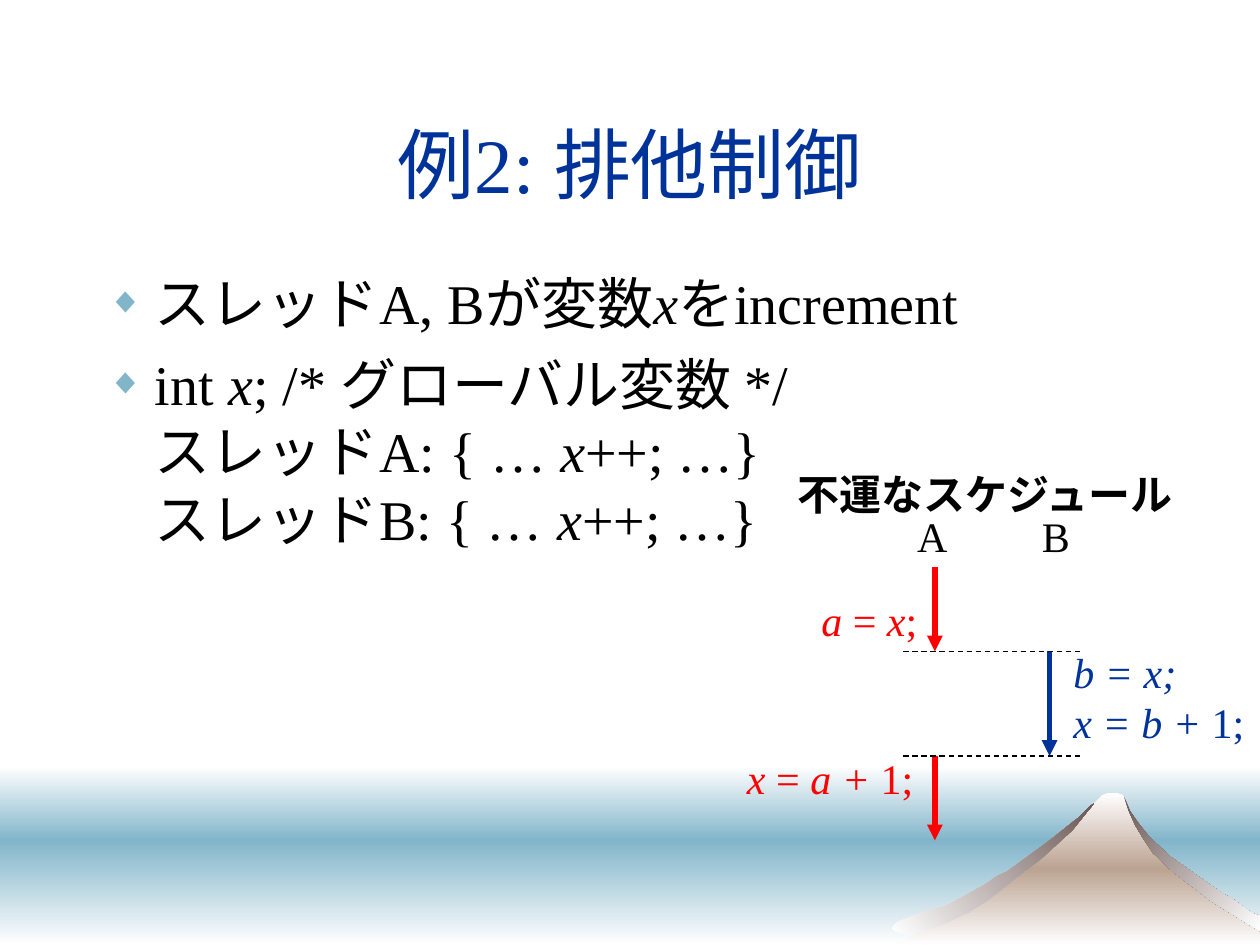
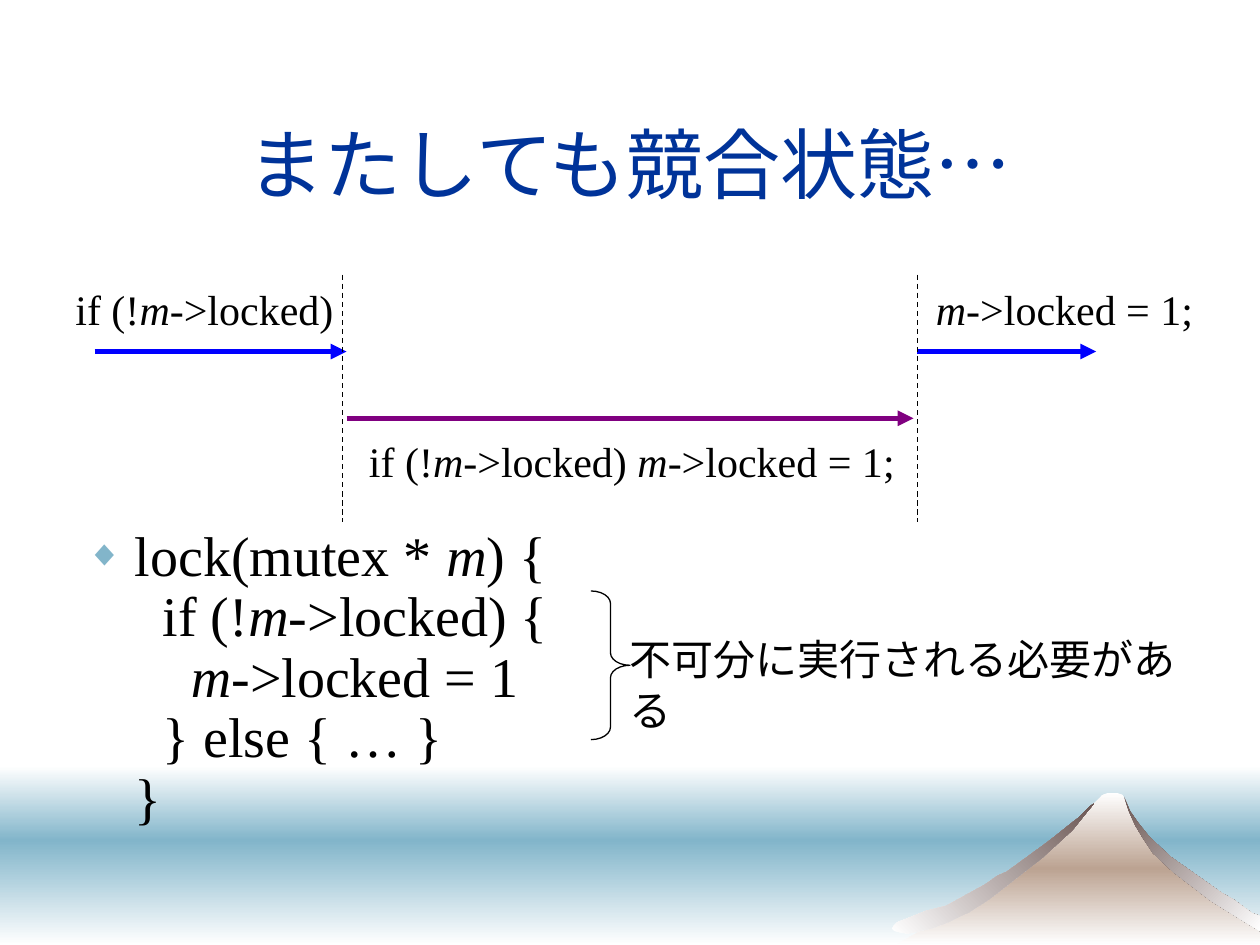
"""Build two slides on mutual exclusion and race conditions."""
from dataclasses import dataclass

import lxml.etree
import pptx
import pptx.dml.color
import pptx.enum.dml
import pptx.enum.lang
import pptx.enum.shapes
import pptx.enum.text
import pptx.oxml.ns
import pptx.util

Inches = pptx.util.Inches
Pt = pptx.util.Pt
qn = pptx.oxml.ns.qn

SERIF, SANS = "Times New Roman", "Arial"
WHITE, BLACK, NAVY, RED = "FFFFFF", "000000", "003399", "FF0000"
BLUE, PURPLE = "0000FF", "800080"
SEA, EARTH, ROCK = "82B5CA", "BCA392", "6B5653"
TITLE_BOX = (0.75, 0.67, 8.5, 1.25)

MOUNTAIN = [(7.11, 7.5), (7.9, 7.05), (8.4, 6.66), (8.69, 6.37), (8.75, 6.31), (8.8, 6.29),
            (8.86, 6.29), (8.91, 6.31), (9.03, 6.57), (9.22, 6.8), (9.68, 7.12), (10, 7.33),
            (10, 7.5)]
RIGHT_RIDGE = [(9.15, 6.77), (9.31, 6.92), (9.48, 7.05), (9.61, 7.15), (9.9, 7.33), (10, 7.39),
               (10, 7.27), (9.94, 7.25), (9.79, 7.14), (9.7, 7.09), (9.29, 6.8), (9.12, 6.64),
               (9.04, 6.54), (8.97, 6.44), (8.92, 6.32), (8.96, 6.44), (9.01, 6.55), (9.07, 6.65)]
LEFT_RIDGE = [(8.32, 6.68), (7.99, 6.92), (7.92, 6.95), (7.82, 7.02), (7.51, 7.19), (7.35, 7.23),
              (7.2, 7.29), (7.12, 7.32), (7.09, 7.35), (7.08, 7.37), (7.1, 7.39), (7.14, 7.4),
              (7.2, 7.41), (7.3, 7.39), (7.39, 7.37), (7.5, 7.33), (7.69, 7.24), (7.8, 7.17),
              (7.86, 7.13), (8.27, 6.81), (8.51, 6.59), (8.64, 6.43), (8.68, 6.38), (8.65, 6.4),
              (8.56, 6.49)]


@dataclass
class Label:
    """A free text; underscores switch italics on and off."""
    text: str
    box: tuple[float, float, float, float]
    color: str = BLACK
    font: str = SERIF
    bold: bool = False
    wrap: bool = False


@dataclass
class Line:
    """A straight line: a thick arrow, or a thin dashed guide."""
    start: tuple[float, float]
    end: tuple[float, float]
    color: str = BLACK
    arrow: bool = True


def guide(start: tuple[float, float], end: tuple[float, float]) -> Line:
    """Return a dashed guide line."""
    return Line(start, end, arrow=False)


def rgb(color: str) -> pptx.dml.color.RGBColor:
    """Turn a hex string into a colour."""
    return pptx.dml.color.RGBColor.from_string(color)


def place(sp, box: tuple[float, float, float, float]) -> None:
    """Move and size a shape."""
    sp.left, sp.top, sp.width, sp.height = map(Inches, box)


def add_runs(p, text: str, size: float, color: str, font: str = SERIF, bold: bool = False) -> None:
    """Add text run by run, with italics between underscores."""
    for i, part in enumerate(text.split("_")):
        for j, piece in enumerate(part.split("\n")):
            if j:
                p.add_line_break()
            if piece:
                r = p.add_run()
                r.text = piece
                r.font.name = font
                r.font.size = Pt(size)
                r.font.bold = bold
                r.font.italic = i % 2 == 1
                r.font.color.rgb = rgb(color)
                r.font.language_id = pptx.enum.lang.MSO_LANGUAGE_ID.JAPANESE


def set_gradient(sp, colors: list[str], angle: int) -> None:
    """Fill a shape with evenly spaced stops at a clockwise angle, without outline."""
    sp.shadow.inherit = False
    sp.line.fill.background()
    sp.fill.gradient()
    sp.fill.gradient_angle = -angle % 360
    stops = sp.element.spPr.find(".//" + qn("a:gsLst"))
    stops.clear()
    for i, color in enumerate(colors):
        gs = lxml.etree.SubElement(stops, qn("a:gs"), pos=str(100000 * i // (len(colors) - 1)))
        lxml.etree.SubElement(gs, qn("a:srgbClr"), val=color)


def add_backdrop(layout, s) -> None:
    """Draw the sea and the mountain, and put them at the back of the layout."""
    group = s.shapes.add_group_shape()
    for top, height, colors in ((6.08, 0.59, [WHITE, SEA]), (6.67, 0.83, [SEA, WHITE])):
        sp = group.shapes.add_shape(pptx.enum.shapes.MSO_SHAPE.RECTANGLE,
                                    *map(Inches, (0, top, 10, height)))
        set_gradient(sp, colors, 90)
    for points, colors, angle in ((MOUNTAIN, [WHITE, EARTH, WHITE], 90),
                                  (RIGHT_RIDGE, [ROCK, WHITE], 45),
                                  (LEFT_RIDGE, [WHITE, ROCK], 315)):
        first, *rest = [(Inches(x), Inches(y)) for x, y in points]
        builder = group.shapes.build_freeform(*first)
        builder.add_line_segments(rest, close=True)
        set_gradient(builder.convert_to_shape(), colors, angle)
    layout.shapes.element.insert(2, group.element)


def set_title(s, text: str) -> None:
    """Fill the title placeholder."""
    sp = s.shapes.title
    place(sp, TITLE_BOX)
    tf = sp.text_frame
    tf.auto_size = pptx.enum.text.MSO_AUTO_SIZE.NONE
    tf.vertical_anchor = pptx.enum.text.MSO_ANCHOR.MIDDLE
    p = tf.paragraphs[0]
    p.alignment = pptx.enum.text.PP_ALIGN.CENTER
    add_runs(p, text, 44, NAVY)


def set_body(s, items: list[str], box: tuple[float, float, float, float],
             spacing: float = 1.0) -> None:
    """Fill the body placeholder with a diamond list."""
    sp = s.placeholders[1]
    place(sp, box)
    tf = sp.text_frame
    tf.auto_size = pptx.enum.text.MSO_AUTO_SIZE.NONE
    for i, item in enumerate(items):
        p = tf.add_paragraph() if i else tf.paragraphs[0]
        pPr = p._p.get_or_add_pPr()
        pPr.set("marL", str(Inches(0.38)))
        pPr.set("indent", str(-Inches(0.38)))
        bullet_color = lxml.etree.SubElement(pPr, qn("a:buClr"))
        lxml.etree.SubElement(bullet_color, qn("a:srgbClr"), val=SEA)
        lxml.etree.SubElement(pPr, qn("a:buSzPct"), val="65000")
        lxml.etree.SubElement(pPr, qn("a:buChar"), char="◆")
        p.line_spacing = spacing
        p.space_before = Pt(8 if i else 0)
        add_runs(p, item, 32, BLACK)


def add_label(s, label: Label) -> None:
    """Draw a label."""
    tf = s.shapes.add_textbox(*map(Inches, label.box)).text_frame
    tf.word_wrap = label.wrap
    tf.auto_size = pptx.enum.text.MSO_AUTO_SIZE.SHAPE_TO_FIT_TEXT
    add_runs(tf.paragraphs[0], label.text, 24, label.color, label.font, label.bold)


def add_line(s, line: Line) -> None:
    """Draw an arrow or a guide."""
    sp = s.shapes.add_connector(pptx.enum.shapes.MSO_CONNECTOR.STRAIGHT,
                                *map(Inches, line.start + line.end))
    sp.line.color.rgb = rgb(line.color)
    sp.line.width = Pt(3 if line.arrow else 0.75)
    if line.arrow:
        ln = sp.element.spPr.find(qn("a:ln"))
        lxml.etree.SubElement(ln, qn("a:tailEnd"), type="triangle")
    else:
        sp.line.dash_style = pptx.enum.dml.MSO_LINE.DASH
    lxml.etree.SubElement(sp.element.spPr, qn("a:effectLst"))


def add_brace(s, box: tuple[float, float, float, float]) -> None:
    """Draw a right brace."""
    sp = s.shapes.add_shape(pptx.enum.shapes.MSO_SHAPE.RIGHT_BRACE, *map(Inches, box))
    sp.shadow.inherit = False
    sp.fill.background()
    sp.line.color.rgb = rgb(BLACK)
    sp.line.width = Pt(0.75)
    sp.adjustments[0] = 0.32


def add_diagram(s, lines: list[Line], labels: list[Label]) -> None:
    """Draw the lines and labels of a schedule."""
    for line in lines:
        add_line(s, line)
    for label in labels:
        add_label(s, label)


def build_exclusion(s) -> None:
    """Build the slide on two threads that increment one variable."""
    set_title(s, "例2: 排他制御")
    set_body(s, ["スレッドA, Bが変数_x_をincrement",
                 "int _x_; /* グローバル変数 */\n"
                 "スレッドA: { … _x_++; …}\nスレッドB: { … _x_++; …}"],
             (0.75, 2.08, 8.5, 4.5))
    a, b = 7.42, 8.33
    switches = (5.17, 6)
    lines = [Line((a, 4.5), (a, switches[0]), RED),
             Line((b, switches[0]), (b, switches[1]), NAVY),
             Line((a, switches[1]), (a, 6.67), RED)]
    lines += [guide((7.17, y), (8.58, y)) for y in switches]
    add_diagram(s, lines, [
        Label("A", (7.18, 4, 0.44, 0.5)),
        Label("B", (8.17, 4, 0.42, 0.5)),
        Label("_a _= _x_;", (6.42, 4.67, 1, 0.5), RED, wrap=True),
        Label("_b = x;\nx = b + _1;", (8.42, 5.08, 1.58, 0.9), NAVY, wrap=True),
        Label("不運なスケジュール", (6.23, 3.67, 3.2, 0.5), font=SANS, bold=True),
        Label("_x _= _a + _1;", (5.83, 5.92, 1.58, 0.5), RED, wrap=True),
    ])


def build_race(s) -> None:
    """Build the slide on the race inside lock()."""
    set_title(s, "またしても競合状態…")
    set_body(s, ["lock(mutex * _m_) {\n  if (!_m_->locked) {\n    _m_->locked = 1\n"
                 "  } else { … }\n}"], (0.59, 4.14, 8.5, 2.52), 0.9)
    upper, lower = 2.79, 3.32
    lines = [Line((0.75, upper), (2.75, upper), BLUE),
             Line((2.75, lower), (7.25, lower), PURPLE),
             Line((7.28, upper), (8.7, upper), BLUE)]
    lines += [guide((x, 2.18), (x, 4.14)) for x in (2.72, 7.28)]
    add_diagram(s, lines, [
        Label("if (!_m_->locked)", (0.5, 2.2, 2.25, 0.5)),
        Label("_m_->locked = 1;", (7.33, 2.2, 2.24, 0.5)),
        Label("if (!_m_->locked) _m_->locked = 1;", (2.83, 3.41, 4.37, 0.5)),
        Label("不可分に実行される必要がある", (4.9, 4.98, 4.86, 0.5), font=SANS),
    ])
    add_brace(s, (4.69, 4.69, 0.31, 1.18))


def main() -> None:
    """Build and save the presentation."""
    prs = pptx.Presentation()
    prs.slide_width, prs.slide_height = Inches(10), Inches(7.5)
    layout = prs.slide_layouts[1]
    slides = [prs.slides.add_slide(layout) for _ in range(2)]
    add_backdrop(layout, slides[0])
    build_exclusion(slides[0])
    build_race(slides[1])
    prs.save("out.pptx")


if __name__ == "__main__":
    main()
